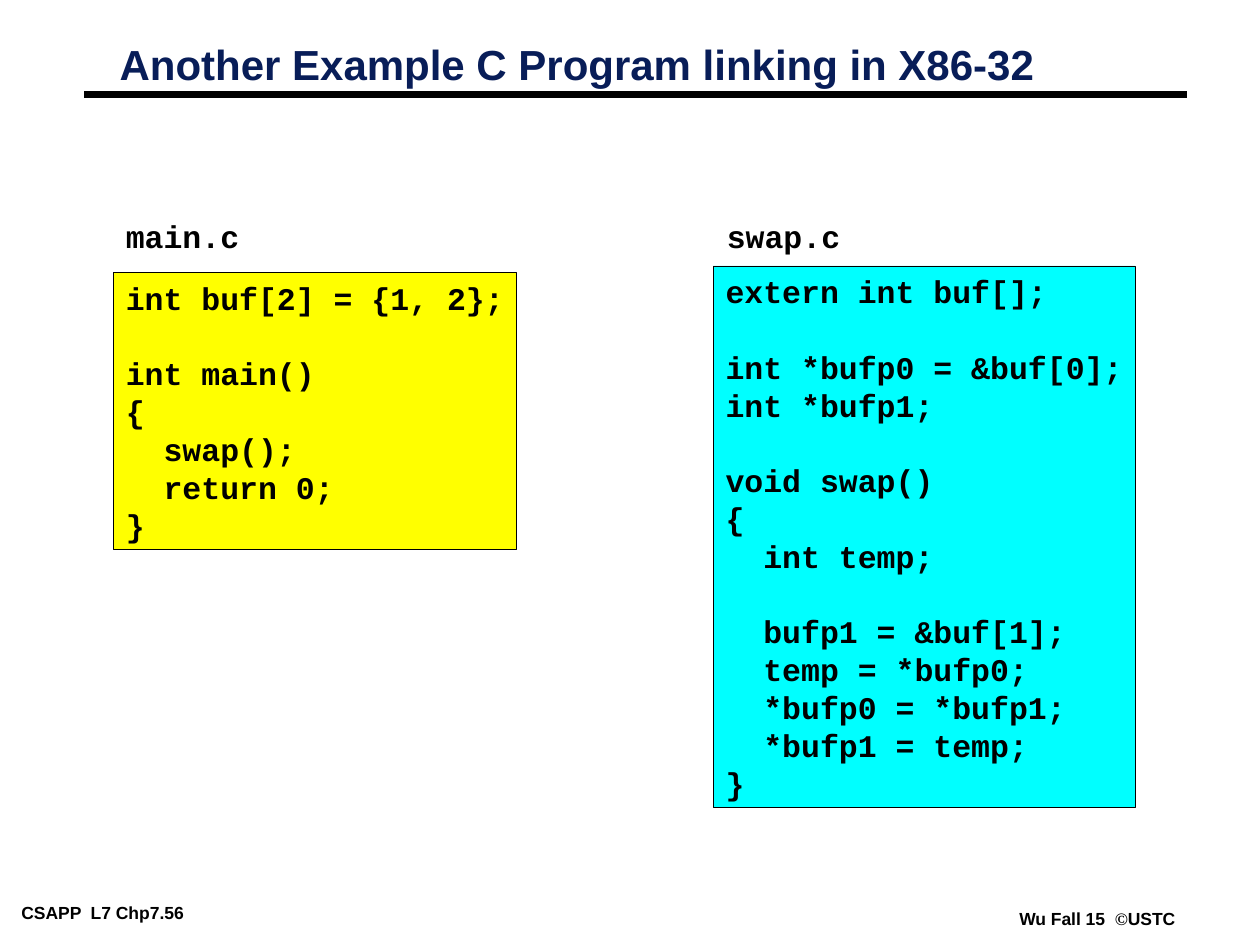
from dataclasses import dataclass

from lxml.etree import SubElement
from pptx import Presentation
from pptx.dml.color import RGBColor
from pptx.enum.shapes import MSO_CONNECTOR as Connector, MSO_SHAPE as Shape
from pptx.enum.text import MSO_ANCHOR as Anchor, MSO_AUTO_SIZE as AutoSize, PP_ALIGN as Align
from pptx.oxml.ns import qn
from pptx.util import Pt

CODE_SIZE = 18
LINE_HEIGHT = 21.6
CHAR_WIDTH = 10.8
INSET_X, INSET_Y = 7.2, 3.6
BLACK, WHITE, NAVY = "000000", "FFFFFF", "081D58"


@dataclass
class CodeBox:
    left: float
    top: float
    code: str
    outline: str = BLACK
    fill: str | None = None


@dataclass
class Footer:
    left: float
    top: float
    width: float
    spans: list[tuple[str, str]]
    wrap: bool


MAIN_CODE = """int buf[2] = {1, 2};

int main()
{
  swap();
  return 0;
}"""

SWAP_CODE = """extern int buf[];

int *bufp0 = &buf[0];
int *bufp1;

void swap()
{
  int temp;

  bufp1 = &buf[1];
  temp = *bufp0;
  *bufp0 = *bufp1;
  *bufp1 = temp;
}"""

CODE_BOXES = [
    CodeBox(64.8, 155.75, MAIN_CODE, fill="FFFF00"),
    CodeBox(64.8, 120.25, "main.c", outline=WHITE),
    CodeBox(408.24, 120.25, "swap.c", outline=WHITE),
    CodeBox(407.52, 152, SWAP_CODE, fill="00FFFF"),
]

FOOTERS = [
    Footer(7.2, 513.36, 140.4, [("CSAPP  L7 Chp7.56", "Arial")], True),
    Footer(577.44, 516.6, 99.36,
           [("Wu Fall 15  ", "Arial"), ("©", "Times New Roman"), ("USTC", "Arial")], False),
]


def color(value: str) -> RGBColor:
    return RGBColor.from_string(value)


def style(font, name: str, size: float, value: str = BLACK) -> None:
    font.name, font.size, font.bold = name, Pt(size), True
    font.color.rgb = color(value)


def set_frame(frame, inset_x: float, inset_y: float, wrap: bool) -> None:
    frame.margin_left = frame.margin_right = Pt(inset_x)
    frame.margin_top = frame.margin_bottom = Pt(inset_y)
    frame.vertical_anchor = Anchor.TOP
    frame.auto_size = AutoSize.NONE
    frame.word_wrap = wrap


def add_title(page, text: str) -> None:
    title = page.shapes.title
    title.left, title.top, title.width, title.height = Pt(63.36), Pt(23.76), Pt(537.84), Pt(29.5)
    set_frame(title.text_frame, 5, 2.2, True)
    title.text_frame.text = text
    para = title.text_frame.paragraphs[0]
    para.alignment = Align.LEFT
    para.line_spacing = 0.87
    style(para.font, "Arial", 24, NAVY)


def add_title_rule(page) -> None:
    rule = page.shapes.add_connector(Connector.STRAIGHT, Pt(48.24), Pt(54), Pt(678.24), Pt(54))
    rule.line.color.rgb = color(BLACK)
    rule.line.width = Pt(4.5)
    SubElement(rule.element.spPr, qn("a:effectLst"))


def add_code_box(page, item: CodeBox) -> None:
    """Size the box to its code; an empty code line becomes space before the next."""
    lines = item.code.split("\n")
    width = max(map(len, lines)) * CHAR_WIDTH + 2 * INSET_X
    height = len(lines) * LINE_HEIGHT + 2 * INSET_Y
    box = page.shapes.add_shape(Shape.RECTANGLE, Pt(item.left), Pt(item.top), Pt(width), Pt(height))
    box.shadow.inherit = False
    box.line.color.rgb = color(item.outline)
    box.line.width = Pt(0.25)
    if item.fill:
        box.fill.solid()
        box.fill.fore_color.rgb = color(item.fill)
    else:
        box.fill.background()

    frame = box.text_frame
    set_frame(frame, INSET_X, INSET_Y, False)
    for index, line in enumerate(lines):
        if not line:
            continue
        para = frame.add_paragraph() if index else frame.paragraphs[0]
        para.text = line
        para.alignment = Align.LEFT
        para.line_spacing = Pt(LINE_HEIGHT)
        if index and not lines[index - 1]:
            para.space_before = Pt(LINE_HEIGHT)
        style(para.font, "Courier New", CODE_SIZE)


def add_footer(page, item: Footer) -> None:
    box = page.shapes.add_textbox(Pt(item.left), Pt(item.top), Pt(item.width), Pt(15.84))
    set_frame(box.text_frame, 5, 2.2, item.wrap)
    para = box.text_frame.paragraphs[0]
    for text, font_name in item.spans:
        span = para.add_run()
        span.text = text
        style(span.font, font_name, 10)


def main() -> None:
    deck = Presentation()
    deck.slide_width, deck.slide_height = Pt(720), Pt(540)
    page = deck.slides.add_slide(deck.slide_layouts[5])
    for footer in FOOTERS:
        add_footer(page, footer)
    add_title_rule(page)
    add_title(page, "Another Example C Program linking in X86-32")
    for code_box in CODE_BOXES:
        add_code_box(page, code_box)
    deck.save("out.pptx")


if __name__ == "__main__":
    main()
